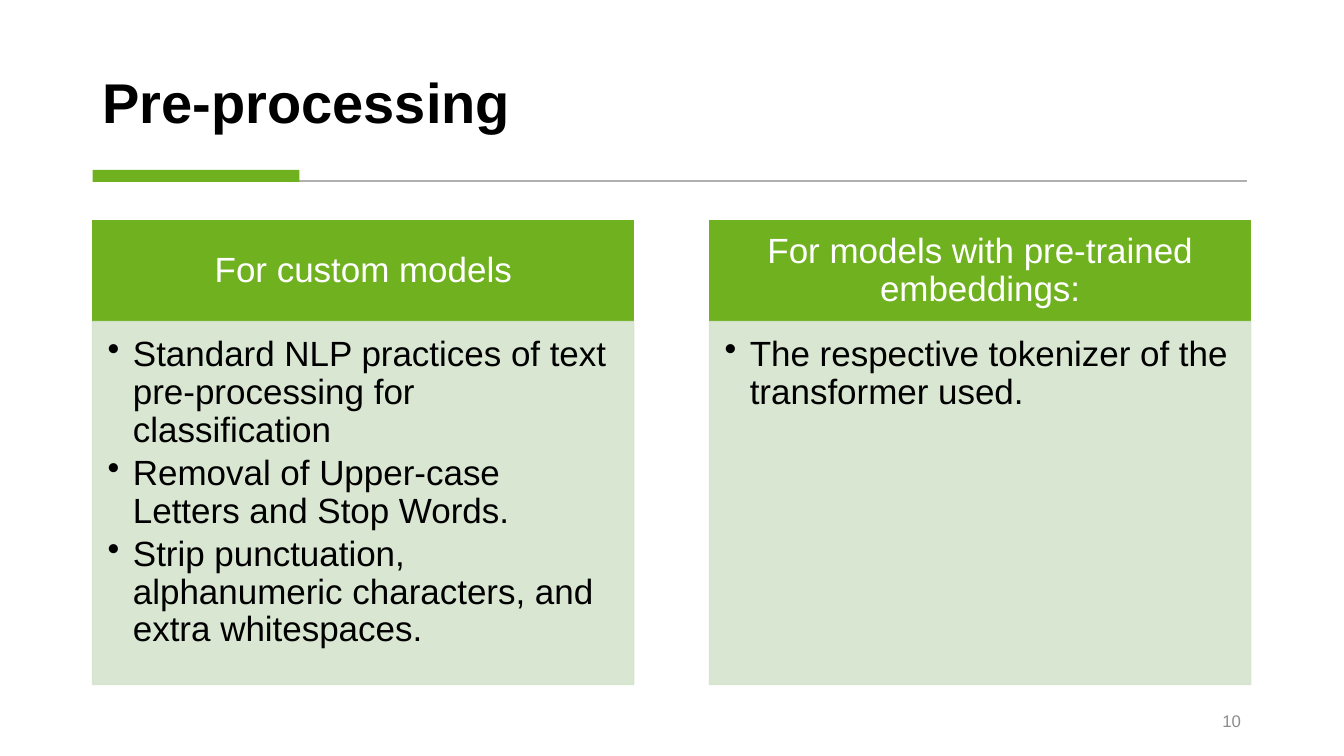
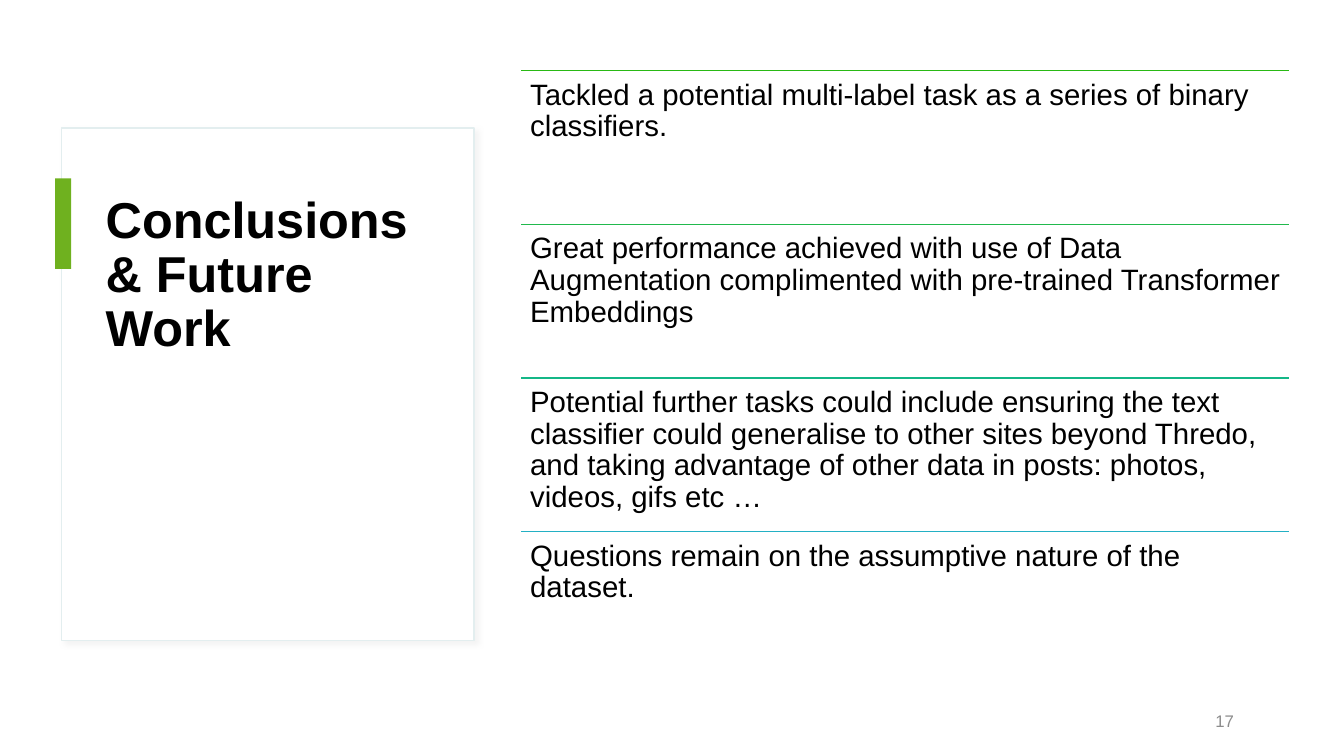
"""Build two slides on text pre-processing and on the conclusions of a classifier project."""
from dataclasses import dataclass
from typing import NamedTuple, Optional

from lxml import etree
from pptx import Presentation
from pptx.dml.color import RGBColor
from pptx.enum.shapes import MSO_CONNECTOR, MSO_SHAPE
from pptx.enum.text import MSO_ANCHOR, PP_ALIGN
from pptx.oxml.ns import qn
from pptx.shapes.autoshape import Shape
from pptx.slide import Slide
from pptx.util import Pt

RECTANGLE = MSO_SHAPE.RECTANGLE
STRAIGHT = MSO_CONNECTOR.STRAIGHT
TOP, MIDDLE, BOTTOM = MSO_ANCHOR.TOP, MSO_ANCHOR.MIDDLE, MSO_ANCHOR.BOTTOM
LEFT, CENTER, RIGHT = PP_ALIGN.LEFT, PP_ALIGN.CENTER, PP_ALIGN.RIGHT


@dataclass(frozen=True)
class Theme:
    """Colours, font and type sizes of the deck."""
    font: str = "Arial"
    accent: RGBColor = RGBColor(0x6F, 0xB1, 0x1F)
    pale: RGBColor = RGBColor(0xD5, 0xE4, 0xCD)
    ink: RGBColor = RGBColor(0, 0, 0)
    paper: RGBColor = RGBColor(0xFF, 0xFF, 0xFF)
    muted: RGBColor = RGBColor(0x8C, 0x8C, 0x8C)
    rule: RGBColor = RGBColor(0xB0, 0xB0, 0xB0)
    card_edge: RGBColor = RGBColor(0xE3, 0xEE, 0xEF)
    card_shadow: str = "D9D9D9"
    title_size: float = 40
    side_title_size: float = 36
    panel_size: float = 25
    row_size: float = 21
    number_size: float = 12


THEME = Theme()


class Box(NamedTuple):
    """A place on the slide, in points."""
    left: float
    top: float
    width: float
    height: float


@dataclass(frozen=True)
class TextStyle:
    """How a block of text is set, lengths in points."""
    size: float
    color: RGBColor = THEME.ink
    bold: bool = False
    align: PP_ALIGN = LEFT
    anchor: MSO_ANCHOR = TOP
    insets: tuple[float, float, float, float] = (7.2, 3.6, 7.2, 3.6)
    line_spacing: float = 0.9
    space_after: float = 0
    bullet_indent: float = 0


TITLE = TextStyle(THEME.title_size, bold=True, anchor=BOTTOM)
SIDE_TITLE = TextStyle(THEME.side_title_size, bold=True)
NUMBER = TextStyle(THEME.number_size, THEME.muted, align=RIGHT, anchor=MIDDLE, line_spacing=1)
PANEL_HEAD = TextStyle(THEME.panel_size, THEME.paper, align=CENTER, anchor=MIDDLE,
                       insets=(13.7, 8, 13.7, 8))
PANEL_BODY = TextStyle(THEME.panel_size, insets=(10.8, 10.8, 13.7, 16),
                       space_after=3.75, bullet_indent=18)
ROW = TextStyle(THEME.row_size, insets=(6.5, 6.5, 5.5, 6.5))


class Panel(NamedTuple):
    """A headed list."""
    heading: str
    points: list[str]


class Row(NamedTuple):
    """A statement under a coloured rule."""
    color: RGBColor
    statement: str


PANELS = [
    Panel("For custom models", [
        "Standard NLP practices of text pre-processing for classification",
        "Removal of Upper-case Letters and Stop Words.",
        "Strip punctuation, alphanumeric characters, and extra whitespaces.",
    ]),
    Panel("For models with pre-trained embeddings:", [
        "The respective tokenizer of the transformer used.",
    ]),
]

CONCLUSIONS = [
    Row(RGBColor(0x29, 0xB9, 0x14),
        "Tackled a potential multi-label task as a series of binary classifiers."),
    Row(RGBColor(0x21, 0xB9, 0x4D),
        "Great performance achieved with use of Data Augmentation complimented with "
        "pre-trained Transformer Embeddings"),
    Row(RGBColor(0x14, 0xB7, 0x87),
        "Potential further tasks could include ensuring the text classifier could generalise "
        "to other sites beyond Thredo, and taking advantage of other data in posts: photos, "
        "videos, gifs etc …"),
    Row(RGBColor(0x23, 0xB0, 0xC4),
        "Questions remain on the assumptive nature of the dataset."),
]


def write(holder: Shape, paragraphs: list[str], style: TextStyle) -> None:
    """Set paragraphs in a shape or text box."""
    frame = holder.text_frame
    frame.word_wrap = True
    frame.vertical_anchor = style.anchor
    (frame.margin_left, frame.margin_top,
     frame.margin_right, frame.margin_bottom) = map(Pt, style.insets)
    frame.text = "\n".join(paragraphs)
    for paragraph in frame.paragraphs:
        paragraph.alignment = style.align
        paragraph.line_spacing = style.line_spacing
        paragraph.space_after = Pt(style.space_after)
        if style.bullet_indent:
            properties = paragraph._p.get_or_add_pPr()
            properties.set("marL", str(Pt(style.bullet_indent)))
            properties.set("indent", str(-Pt(style.bullet_indent)))
            etree.SubElement(properties, qn("a:buChar"), char="•")
        font = paragraph.font
        font.name, font.size, font.bold = THEME.font, Pt(style.size), style.bold
        font.color.rgb = style.color


def add_text(slide: Slide, box: Box, text: str, style: TextStyle) -> None:
    """Add a text box with one paragraph."""
    write(slide.shapes.add_textbox(*map(Pt, box)), [text], style)


def add_block(slide: Slide, box: Box, fill: RGBColor, edge: Optional[RGBColor] = None,
              opacity: int = 100) -> Shape:
    """Add a flat rectangle, with an edge if one is given."""
    block = slide.shapes.add_shape(RECTANGLE, *map(Pt, box))
    block.shadow.inherit = False
    block.fill.solid()
    block.fill.fore_color.rgb = fill
    if edge is None:
        block.line.fill.background()
    else:
        block.line.color.rgb = edge
        block.line.width = Pt(1)
    if opacity < 100:
        for color in block._element.spPr.iter(qn("a:srgbClr")):
            etree.SubElement(color, qn("a:alpha"), val=str(opacity * 1000))
    return block


def add_rule(slide: Slide, left: float, top: float, width: float, color: RGBColor,
             weight: float) -> None:
    """Add a horizontal line."""
    rule = slide.shapes.add_connector(STRAIGHT, Pt(left), Pt(top), Pt(left + width), Pt(top))
    rule.line.color.rgb = color
    rule.line.width = Pt(weight)
    etree.SubElement(rule._element.spPr, qn("a:effectLst"))


def add_soft_shadow(block: Shape) -> None:
    """Give a block a faint shadow to the lower right."""
    effects = block._element.spPr.find(qn("a:effectLst"))
    shadow = etree.SubElement(effects, qn("a:outerShdw"), blurRad=str(Pt(4)),
                              dist=str(Pt(3)), dir=str(45 * 60000))
    color = etree.SubElement(shadow, qn("a:srgbClr"), val=THEME.card_shadow)
    etree.SubElement(color, qn("a:alpha"), val="30000")


def add_number(slide: Slide, number: int, right: float) -> None:
    """Add the slide number, ending at the given right edge."""
    width = 200
    add_text(slide, Box(right - width, 500.4, width, 28.8), str(number), NUMBER)


def add_panel(slide: Slide, left: float, panel: Panel) -> None:
    """Add a headed list in a green panel."""
    top, width, head_height, body_height = 157.7, 386.6, 72, 259.2
    head = add_block(slide, Box(left, top, width, head_height), THEME.accent, THEME.accent)
    write(head, [panel.heading], PANEL_HEAD)
    body = add_block(slide, Box(left, top + head_height, width, body_height),
                     THEME.pale, THEME.pale, opacity=90)
    write(body, panel.points, PANEL_BODY)


def build_preprocessing(slide: Slide) -> None:
    """Fill the pre-processing slide."""
    margin, panel_step = 66.2, 440.6
    add_text(slide, Box(margin, 20.2, 827.3, 79.9), "Pre-processing", TITLE)
    add_rule(slide, 68, 129.2, 823, THEME.rule, 1.25)
    add_block(slide, Box(margin, 121.3, 147.6, 8.6), THEME.accent)
    add_number(slide, 10, 893.5)
    for index, panel in enumerate(PANELS):
        add_panel(slide, margin + index * panel_step, panel)


def build_conclusions(slide: Slide) -> None:
    """Fill the conclusions slide."""
    card = add_block(slide, Box(44, 91.5, 294.5, 365.8), THEME.paper, THEME.card_edge)
    add_soft_shadow(card)
    add_text(slide, Box(68.4, 135.4, 244, 277.2), "Conclusions & Future Work", SIDE_TITLE)
    add_block(slide, Box(39.4, 127.5, 11.5, 64.7), THEME.accent)
    add_number(slide, 17, 888.5)
    left, first_top, width, step = 372.2, 50.4, 548.6, 109.8
    for index, row in enumerate(CONCLUSIONS):
        top = first_top + index * step
        add_rule(slide, left, top, width, row.color, 1)
        add_text(slide, Box(left, top, width, step), row.statement, ROW)


def main() -> None:
    """Build and save the deck."""
    deck = Presentation()
    deck.slide_width, deck.slide_height = Pt(960), Pt(540)
    blank = deck.slide_layouts[6]
    for build in (build_preprocessing, build_conclusions):
        build(deck.slides.add_slide(blank))
    deck.save("out.pptx")


if __name__ == "__main__":
    main()
